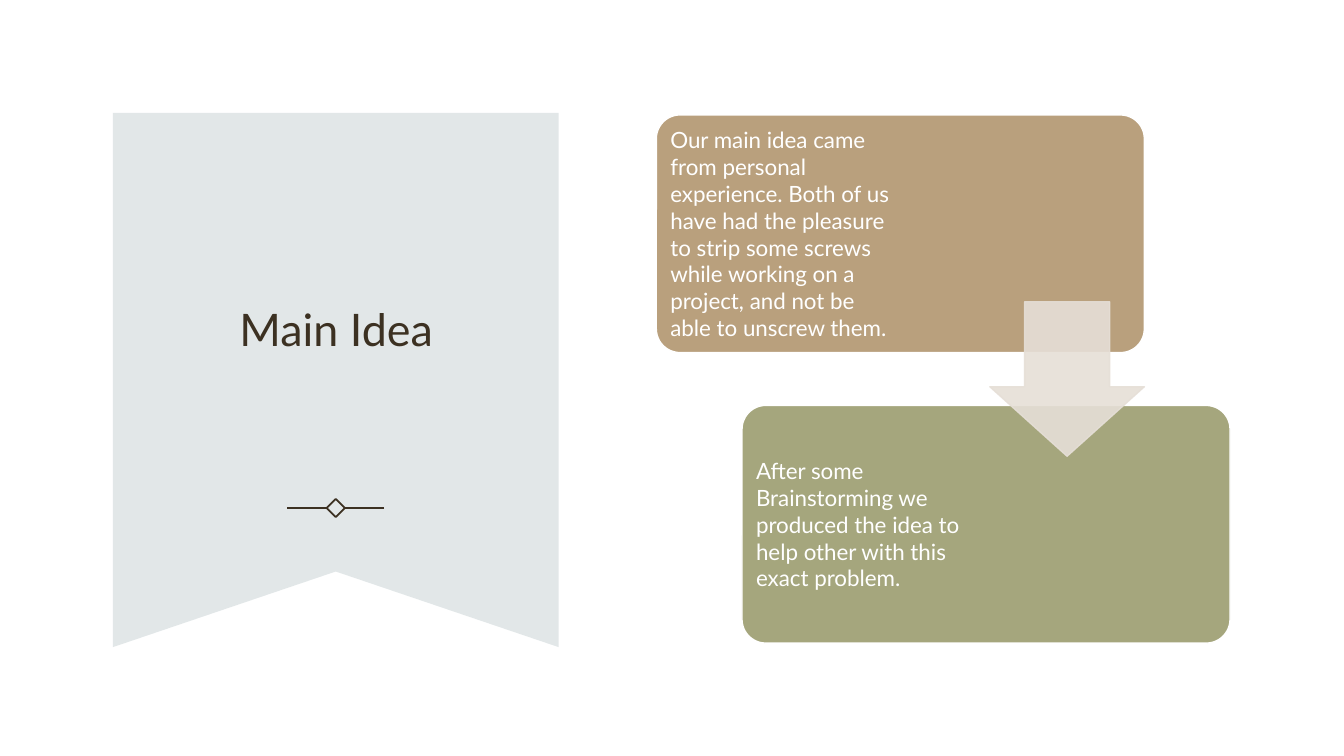
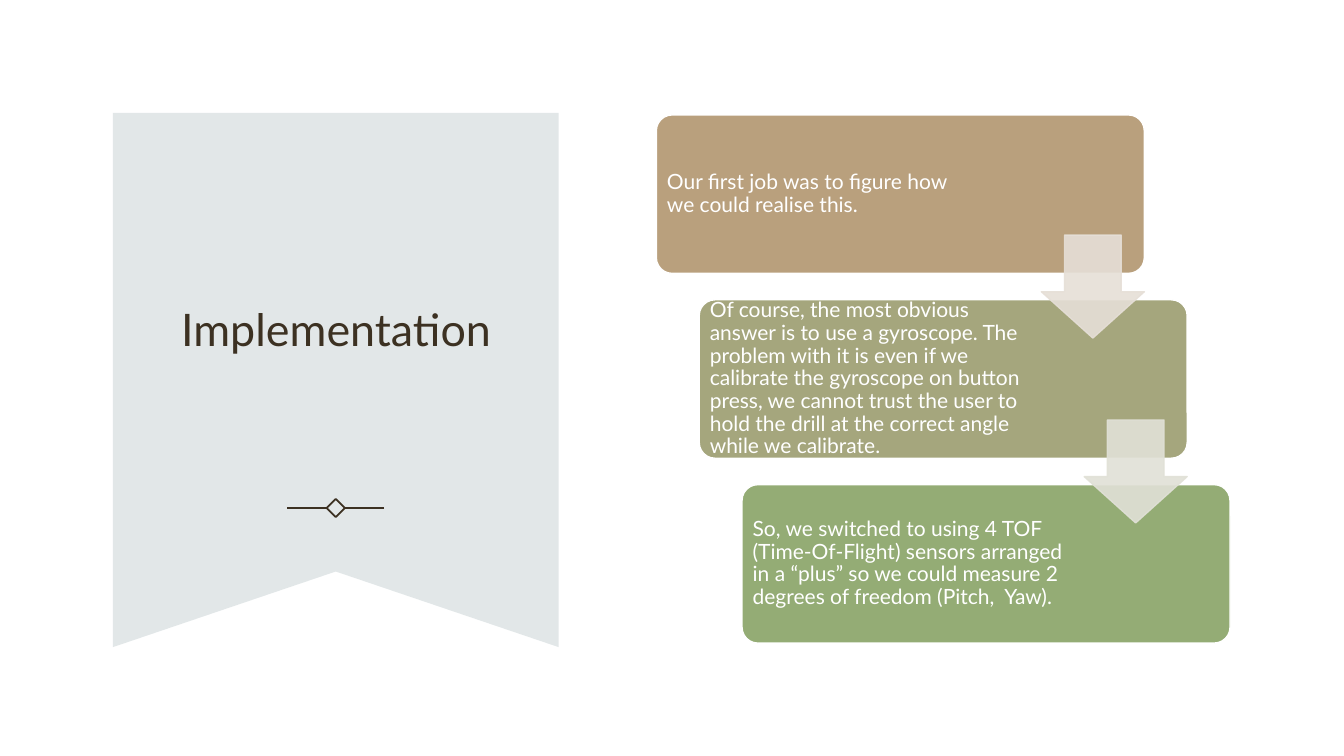
"""Build two banner slides with cascading step cards."""
from dataclasses import dataclass

from lxml.etree import SubElement
from pptx import Presentation
from pptx.dml.color import RGBColor
from pptx.enum.shapes import MSO_CONNECTOR, MSO_SHAPE
from pptx.enum.text import MSO_ANCHOR as Anchor, PP_ALIGN as Align
from pptx.oxml.ns import qn
from pptx.util import Inches, Pt

SLIDES = [
    {
        "title": "Main Idea",
        "steps": [
            ("Our main idea came from personal experience. Both of us have had "
             "the pleasure to strip some screws while working on a project, "
             "and not be able to unscrew them.", 2.41),
            ("After some Brainstorming we produced the idea to help other "
             "with this exact problem.", 2.32),
        ],
        "card_share": 0.45, "size": 16, "spacing": 1.0, "inset": 0.07,
    },
    {
        "title": "Implementation",
        "steps": [
            ("Our first job was to figure how we could realise this.", 3.15),
            ("Of course, the most obvious answer is to use a gyroscope. The "
             "problem with it is even if we calibrate the gyroscope on button "
             "press, we cannot trust the user to hold the drill at the "
             "correct angle while we calibrate.", 3.3),
            ("So, we switched to using 4 TOF (Time-Of-Flight) sensors arranged "
             "in a “plus” so we could measure 2 degrees of freedom "
             "(Pitch,  Yaw).", 3.3),
        ],
        "card_share": 0.3, "size": 15, "spacing": 0.9, "inset": 0.06,
    },
]


@dataclass(frozen=True)
class Theme:
    font: str = "Lato"
    title_size: int = 32
    ink: str = "3C3122"
    paper: str = "FFFFFF"
    banner: str = "E2E7E8"
    cards: tuple = ("B9A07D", "A5A67D", "94AC75")
    arrows: tuple = ("E6DFD7", "E1E1D7")
    arrow_alpha: int = 90
    rule: float = 1.25
    outline: float = 1


THEME = Theme()
BANNER = (1.12, 1.12, 4.42, 5.3)
NOTCH = 0.75
TITLE = (1.56, 1.81, 3.55, 2.85)
ORNAMENT_Y, ORNAMENT_REACH, DIAMOND = 5.04, 0.48, 0.18
CASCADE_X, CASCADE_Y, CASCADE_H = 6.51, 1.14, 5.24
CARD_W, CASCADE_SHIFT = 4.84, 0.85
CORNER, CORNER_INSET = 0.1, 0.29
ARROW_SHARE = 0.65


def box(left, top, width, height):
    return [Inches(value) for value in (left, top, width, height)]


def write(frame, text, *, size, color, align=Align.LEFT, spacing=1.0):
    frame.word_wrap = True
    frame.vertical_anchor = Anchor.MIDDLE
    paragraph = frame.paragraphs[0]
    paragraph.alignment = align
    paragraph.line_spacing = spacing
    run = paragraph.add_run()
    run.text = text
    run.font.name = THEME.font
    run.font.size = Pt(size)
    run.font.color.rgb = RGBColor.from_string(color)


def paint(shape, fill=None, line=None, weight=THEME.outline):
    shape.shadow.inherit = False
    if fill:
        shape.fill.solid()
        shape.fill.fore_color.rgb = RGBColor.from_string(fill)
    else:
        shape.fill.background()
    if line:
        shape.line.color.rgb = RGBColor.from_string(line)
        shape.line.width = Pt(weight)
    else:
        shape.line.fill.background()


def add_banner(slide):
    left, top, width, height = BANNER
    right, bottom = left + width, top + height
    outline = [(right, top), (right, bottom),
               (left + width / 2, bottom - NOTCH), (left, bottom)]
    builder = slide.shapes.build_freeform(Inches(left), Inches(top))
    builder.add_line_segments([(Inches(x), Inches(y)) for x, y in outline])
    banner = builder.convert_to_shape()
    paint(banner, THEME.banner)
    return banner


def add_ornament(slide):
    center = BANNER[0] + BANNER[2] / 2
    diamond = slide.shapes.add_shape(
        MSO_SHAPE.DIAMOND,
        *box(center - DIAMOND / 2, ORNAMENT_Y - DIAMOND / 2, DIAMOND, DIAMOND))
    paint(diamond, line=THEME.ink, weight=THEME.rule)
    for direction, side in ((-1, 1), (1, 3)):
        rule = slide.shapes.add_connector(
            MSO_CONNECTOR.STRAIGHT,
            Inches(center + direction * ORNAMENT_REACH), Inches(ORNAMENT_Y),
            Inches(center + direction * DIAMOND / 2), Inches(ORNAMENT_Y))
        rule.end_connect(diamond, side)
        rule.line.color.rgb = RGBColor.from_string(THEME.ink)
        rule.line.width = Pt(THEME.rule)
        SubElement(rule.element.spPr, qn("a:effectLst"))


def add_card(slide, left, top, height, fill, text, text_width, content):
    card = slide.shapes.add_shape(
        MSO_SHAPE.ROUNDED_RECTANGLE, *box(left, top, CARD_W, height))
    card.adjustments[0] = CORNER
    paint(card, fill, THEME.paper)
    frame = card.text_frame
    inset = content["inset"]
    frame.margin_left = frame.margin_top = frame.margin_bottom = Inches(inset)
    inner_width = CARD_W - 2 * CORNER * CORNER_INSET * height
    frame.margin_right = Inches(inner_width - text_width + inset)
    write(frame, text, size=content["size"], color=THEME.paper,
          spacing=content["spacing"])


def add_arrow(slide, right, middle, size, color):
    arrow = slide.shapes.add_shape(
        MSO_SHAPE.DOWN_ARROW, *box(right - size, middle - size / 2, size, size))
    arrow.adjustments[0], arrow.adjustments[1] = 0.55, 0.45
    paint(arrow, color, color)
    for tint in arrow.element.spPr.iter(qn("a:srgbClr")):
        SubElement(tint, qn("a:alpha"), val=str(THEME.arrow_alpha * 1000))


def add_cascade(slide, content):
    steps = content["steps"]
    gaps = len(steps) - 1
    height = CASCADE_H * content["card_share"]
    pitch = (CASCADE_H - height) / gaps
    corners = [(CASCADE_X + i * CASCADE_SHIFT / gaps, CASCADE_Y + i * pitch)
               for i in range(len(steps))]
    for (left, top), fill, (text, width) in zip(corners, THEME.cards, steps):
        add_card(slide, left, top, height, fill, text, width, content)
    for (left, top), color in zip(corners[:-1], THEME.arrows):
        add_arrow(slide, left + CARD_W, top + (height + pitch) / 2,
                  height * ARROW_SHARE, color)


def add_slide(deck, content):
    slide = deck.slides.add_slide(deck.slide_layouts[5])
    slide.background.fill.solid()
    slide.background.fill.fore_color.rgb = RGBColor.from_string(THEME.paper)
    title = slide.shapes.title
    title.left, title.top, title.width, title.height = box(*TITLE)
    write(title.text_frame, content["title"], size=THEME.title_size,
          color=THEME.ink, align=Align.CENTER, spacing=1.1)
    title.element.addprevious(add_banner(slide).element)
    add_ornament(slide)
    add_cascade(slide, content)


def main():
    deck = Presentation()
    deck.slide_width, deck.slide_height = Inches(13.33), Inches(7.5)
    for content in SLIDES:
        add_slide(deck, content)
    deck.save("out.pptx")


if __name__ == "__main__":
    main()
